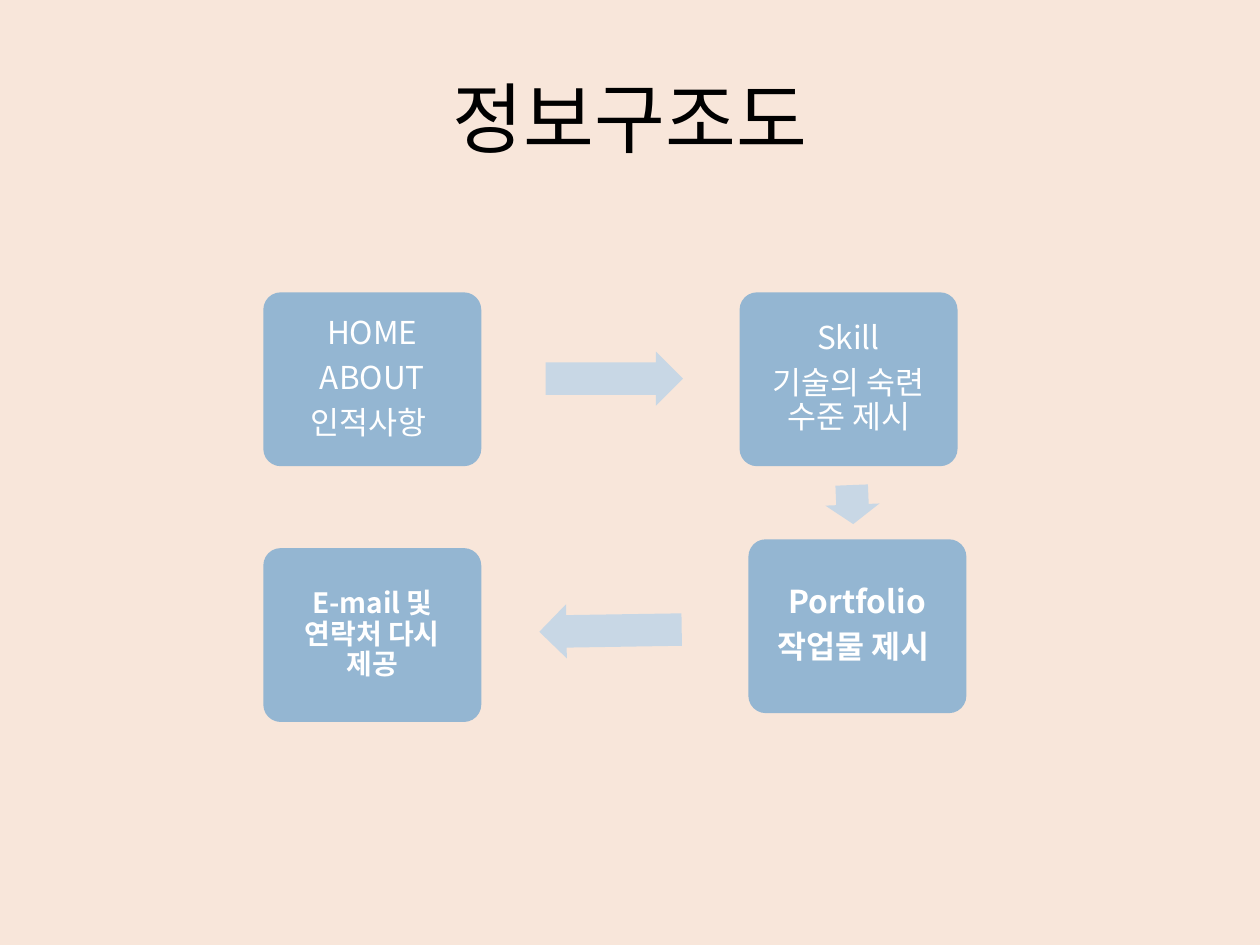
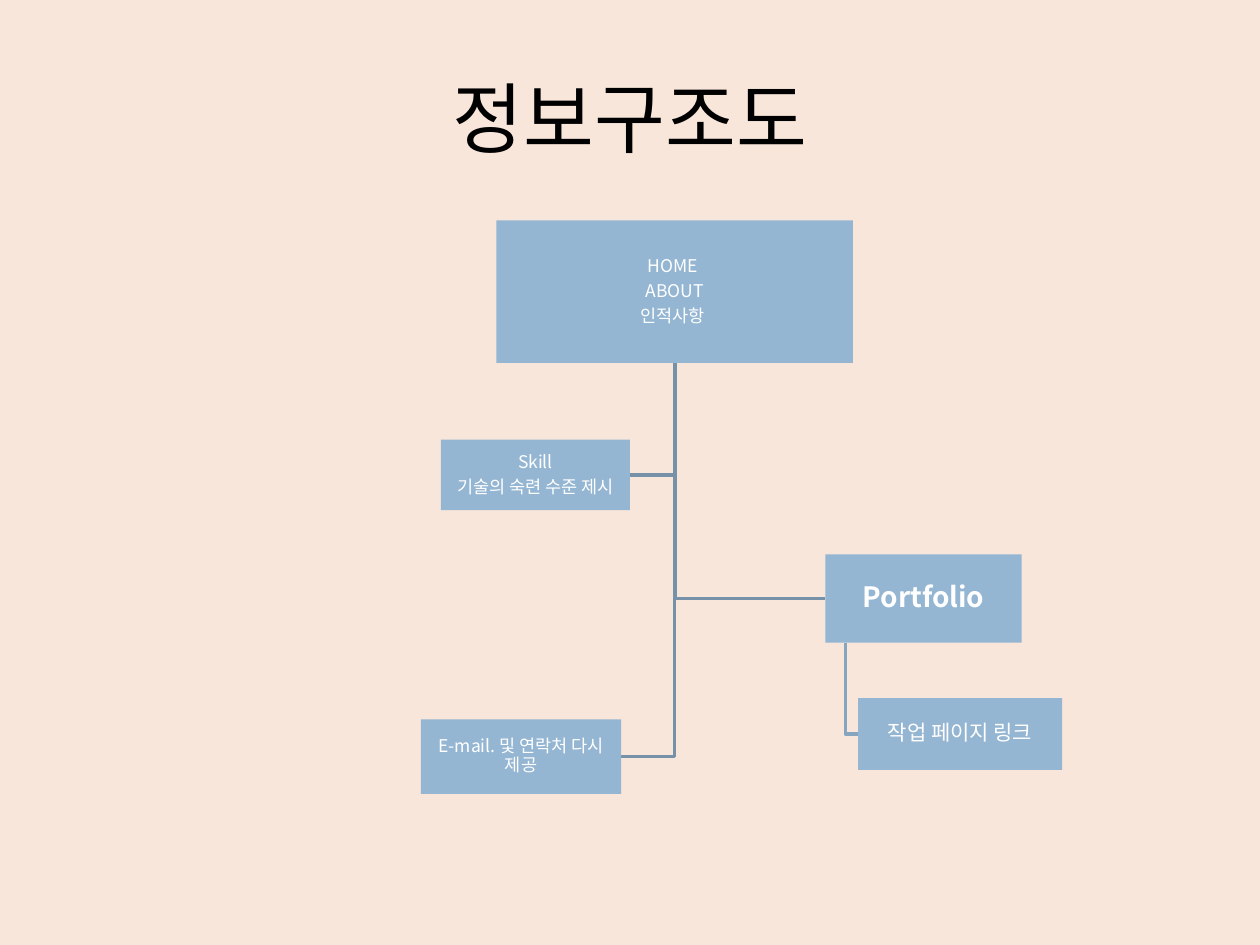
from dataclasses import dataclass

from lxml.etree import SubElement
from pptx import Presentation
from pptx.dml.color import RGBColor
from pptx.enum.shapes import MSO_SHAPE as Preset
from pptx.enum.text import MSO_ANCHOR as Anchor, PP_ALIGN as Align
from pptx.oxml.ns import qn
from pptx.presentation import Presentation as Deck
from pptx.shapes.base import BaseShape
from pptx.slide import Slide
from pptx.text.text import TextFrame
from pptx.util import Inches, Pt


@dataclass(frozen=True)
class Theme:
    font: str = "Noto Sans CJK KR"
    background: str = "F8E6DA"
    title: str = "000000"
    box: str = "94B6D2"
    box_text: str = "FFFFFF"
    arrow: str = "C8D7E5"
    main_line: str = "7792A8"
    sub_line: str = "86A5BF"
    title_size: int = 44
    step_size: int = 18
    strong_size: int = 16
    link_size: int = 12
    node_size: int = 10
    line_width: int = 2
    line_spacing: float = 0.9
    gap_after: float = 0.35


THEME = Theme()
TITLE = "정보구조도"
STEP_WIDTH, STEP_HEIGHT = 1.73, 1.38
STEP_INSET, NODE_INSET = 0.11, 0.01


@dataclass(frozen=True)
class Box:
    left: float
    top: float
    width: float
    height: float
    lines: tuple[str, ...]
    size: int
    bold: bool = False

    @property
    def right(self) -> float:
        return self.left + self.width

    @property
    def bottom(self) -> float:
        return self.top + self.height

    @property
    def center(self) -> float:
        return self.left + self.width / 2

    @property
    def middle(self) -> float:
        return self.top + self.height / 2


@dataclass(frozen=True)
class Arrow:
    left: float
    top: float
    width: float
    rotation: float = 0
    height: float = 0.43


@dataclass(frozen=True)
class Branch:
    start_x: float
    start_y: float
    end_x: float
    end_y: float
    color: str = THEME.main_line


def step(left: float, top: float, *lines: str,
         size: int = THEME.step_size, bold: bool = False) -> Box:
    return Box(left, top, STEP_WIDTH, STEP_HEIGHT, lines, size, bold)


STEPS = (
    step(2.09, 2.32, "HOME", "ABOUT", "인적사항 "),
    step(5.87, 2.32, "Skill", "기술의 숙련 수준 제시"),
    step(5.94, 4.28, "Portfolio", "작업물 제시 ", bold=True),
    step(2.09, 4.35, "E-mail 및 연락처 다시 제공", size=THEME.strong_size, bold=True),
)
ARROWS = (
    Arrow(4.33, 2.79, 1.09),
    Arrow(6.61, 3.79, 0.31, 87.7),
    Arrow(4.28, 4.79, 1.13, 179.1),
)

HOME = Box(3.94, 1.75, 2.83, 1.13, ("HOME ", "ABOUT", "인적사항 "), THEME.node_size)
SKILL = Box(3.5, 3.49, 1.5, 0.56, ("Skill", "기술의 숙련 수준 제시"), THEME.node_size)
PORTFOLIO = Box(6.55, 4.4, 1.56, 0.7, ("Portfolio",), THEME.strong_size, True)
WORK_LINK = Box(6.81, 5.54, 1.62, 0.57, ("작업 페이지 링크",), THEME.link_size)
CONTACT = Box(3.34, 5.71, 1.59, 0.59, ("E-mail. 및 연락처 다시 제공",), THEME.node_size)
NODES = (HOME, PORTFOLIO, WORK_LINK, CONTACT, SKILL)
BRANCHES = (
    Branch(HOME.center, HOME.bottom, SKILL.right, SKILL.middle),
    Branch(HOME.center, HOME.bottom, CONTACT.right, CONTACT.middle),
    Branch(6.71, PORTFOLIO.bottom, WORK_LINK.left, WORK_LINK.middle, THEME.sub_line),
    Branch(HOME.center, HOME.bottom, PORTFOLIO.left, PORTFOLIO.middle),
)


def rgb(color: str) -> RGBColor:
    return RGBColor.from_string(color)


def write_lines(frame: TextFrame, lines: tuple[str, ...], size: int,
                color: str, bold: bool = False) -> None:
    frame.text = "\n".join(lines)
    frame.vertical_anchor = Anchor.MIDDLE
    for para in frame.paragraphs:
        para.alignment = Align.CENTER
        para.font.size = Pt(size)
        para.font.bold = bold
        para.font.color.rgb = rgb(color)
        para.font.name = THEME.font
        defaults = para._p.get_or_add_pPr().find(qn("a:defRPr"))
        SubElement(defaults, qn("a:ea"), typeface=THEME.font)


def add_page(deck: Deck) -> Slide:
    page = deck.slides.add_slide(deck.slide_layouts.get_by_name("Title Only"))
    title = page.shapes.title
    title.left, title.top = Inches(0.5), Inches(0.3)
    title.width, title.height = Inches(9), Inches(1.25)
    write_lines(title.text_frame, (TITLE,), THEME.title_size, THEME.title)
    return page


def add_filled(page: Slide, preset: Preset, area: Box | Arrow, color: str) -> BaseShape:
    shape = page.shapes.add_shape(
        preset, Inches(area.left), Inches(area.top), Inches(area.width), Inches(area.height))
    shape.shadow.inherit = False
    shape.fill.solid()
    shape.fill.fore_color.rgb = rgb(color)
    shape.line.fill.background()
    return shape


def draw_box(page: Slide, box: Box, preset: Preset, inset: float) -> None:
    shape = add_filled(page, preset, box, THEME.box)
    if preset == Preset.ROUNDED_RECTANGLE:
        shape.adjustments[0] = 0.1
    frame = shape.text_frame
    frame.word_wrap = True
    frame.margin_left = frame.margin_right = Inches(inset)
    frame.margin_top = frame.margin_bottom = Inches(inset)
    write_lines(frame, box.lines, box.size, THEME.box_text, box.bold)
    for para in frame.paragraphs:
        para.line_spacing = THEME.line_spacing
        para.space_after = Pt(box.size * THEME.gap_after)


def draw_arrow(page: Slide, arrow: Arrow) -> None:
    shape = add_filled(page, Preset.RIGHT_ARROW, arrow, THEME.arrow)
    shape.adjustments[0] = 0.6
    shape.adjustments[1] = 0.5
    shape.rotation = arrow.rotation


def draw_branch(page: Slide, branch: Branch) -> None:
    outline = page.shapes.build_freeform(Inches(branch.start_x), Inches(branch.start_y))
    outline.add_line_segments(
        [(Inches(branch.start_x), Inches(branch.end_y)),
         (Inches(branch.end_x), Inches(branch.end_y))], close=False)
    shape = outline.convert_to_shape()
    shape.shadow.inherit = False
    shape.fill.background()
    shape.line.color.rgb = rgb(branch.color)
    shape.line.width = Pt(THEME.line_width)


def build_flow(deck: Deck) -> None:
    page = add_page(deck)
    for box in STEPS:
        draw_box(page, box, Preset.ROUNDED_RECTANGLE, STEP_INSET)
    for arrow in ARROWS:
        draw_arrow(page, arrow)


def build_tree(deck: Deck) -> None:
    page = add_page(deck)
    for branch in BRANCHES:
        draw_branch(page, branch)
    for box in NODES:
        draw_box(page, box, Preset.RECTANGLE, NODE_INSET)


def main() -> None:
    deck = Presentation()
    deck.slide_width, deck.slide_height = Inches(10), Inches(7.5)
    backdrop = deck.slide_master.background.fill
    backdrop.solid()
    backdrop.fore_color.rgb = rgb(THEME.background)
    build_flow(deck)
    build_tree(deck)
    deck.save("out.pptx")


if __name__ == "__main__":
    main()
